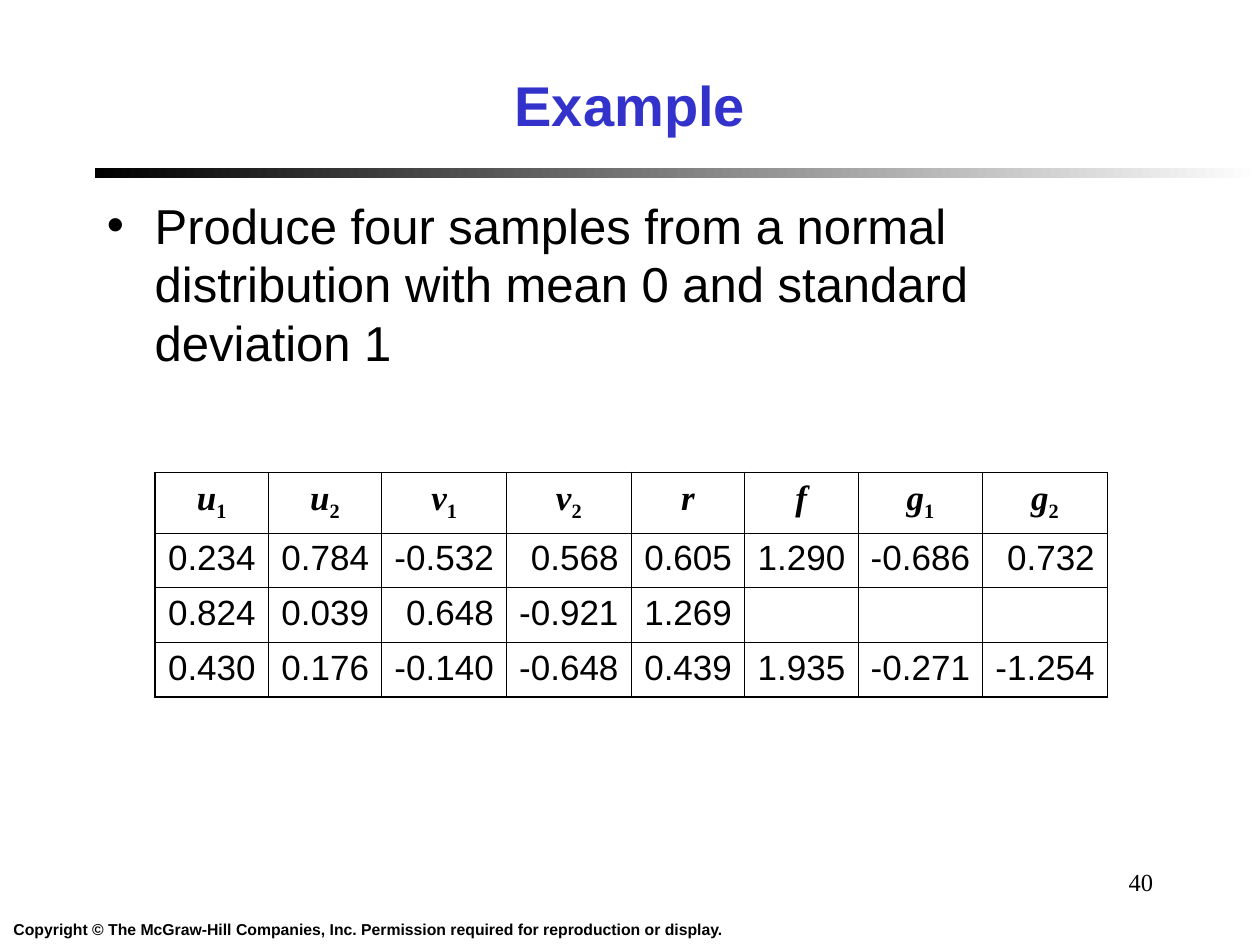
from dataclasses import dataclass

from lxml.etree import SubElement
from pptx import Presentation
from pptx.dml.color import RGBColor
from pptx.enum.shapes import MSO_SHAPE
from pptx.enum.text import MSO_ANCHOR, PP_ALIGN
from pptx.oxml.ns import qn
from pptx.util import Inches, Pt


@dataclass(frozen=True)
class Theme:
    ink: str = "000000"
    paper: str = "FFFFFF"
    blue: str = "3333CC"
    sans: str = "Arial"
    serif: str = "Times New Roman"
    title: int = 32
    body: int = 28
    cell: int = 20
    page: int = 14
    note: int = 9
    thin: float = 0.45
    thick: float = 1.08


THEME = Theme()

HEADS = ["u1", "u2", "v1", "v2", "r", "f", "g1", "g2"]
ROWS = [
    ["0.234", "0.784", "-0.532", "0.568", "0.605", "1.290", "-0.686", "0.732"],
    ["0.824", "0.039", "0.648", "-0.921", "1.269", "", "", ""],
    ["0.430", "0.176", "-0.140", "-0.648", "0.439", "1.935", "-0.271", "-1.254"],
]


def style(font, size, name=THEME.sans, color=THEME.ink, bold=False):
    font.size, font.name, font.bold = Pt(size), name, bold
    font.color.rgb = RGBColor.from_string(color)


def add_text(slide, box, text, align, wrap=True, anchor=MSO_ANCHOR.TOP):
    frame = slide.shapes.add_textbox(*map(Inches, box)).text_frame
    frame.word_wrap = wrap
    frame.vertical_anchor = anchor
    par = frame.paragraphs[0]
    par.text = text
    par.alignment = align
    return par


def add_title(slide, box):
    par = add_text(slide, box, "Example", PP_ALIGN.CENTER,
                   anchor=MSO_ANCHOR.MIDDLE)
    style(par.font, THEME.title, color=THEME.blue, bold=True)


def add_rule(slide, box):
    bar = slide.shapes.add_shape(MSO_SHAPE.RECTANGLE, *map(Inches, box))
    bar.shadow.inherit = False
    bar.line.fill.background()
    bar.fill.gradient()
    bar.fill.gradient_angle = 0
    stops = bar.fill.gradient_stops
    for stop, color, place in zip(stops, (THEME.ink, THEME.paper), (0, 1)):
        stop.color.rgb = RGBColor.from_string(color)
        stop.position = place


def add_body(slide, box):
    par = add_text(slide, box, "Produce four samples from a normal distribution "
                   "with mean 0 and standard deviation 1", PP_ALIGN.LEFT)
    props = par._p.get_or_add_pPr()
    props.set("marL", str(Inches(0.38)))
    props.set("indent", str(-Inches(0.38)))
    SubElement(props, qn("a:buFont"), typeface=THEME.sans)
    SubElement(props, qn("a:buChar"), char="•")
    style(par.font, THEME.body)


def add_edge(cell, side, width):
    line = SubElement(cell._tc.get_or_add_tcPr(), qn(f"a:ln{side}"),
                      w=str(Pt(width)))
    fill = SubElement(line, qn("a:solidFill"))
    SubElement(fill, qn("a:srgbClr"), val=THEME.ink)


def fill_head(par, text):
    par.alignment = PP_ALIGN.CENTER
    style(par.font, THEME.cell, THEME.serif, bold=True)
    name = par.add_run()
    name.text = text[0]
    name.font.italic = True
    if text[1:]:
        sub = par.add_run()
        sub.text = text[1:]
        sub.font._element.set("baseline", "-25000")


def fill_value(par, text):
    par.text = text
    par.alignment = PP_ALIGN.RIGHT
    style(par.font, THEME.cell)


def add_grid(slide, box):
    data = [HEADS] + ROWS
    last, end = len(data) - 1, len(HEADS) - 1
    table = slide.shapes.add_table(last + 1, end + 1,
                                   *map(Inches, box)).table
    table.first_row = table.horz_banding = False
    # Columns that hold negative values are wider
    for c, col in enumerate(table.columns):
        signed = any(row[c].startswith("-") for row in ROWS)
        col.width = Inches(0.99 if signed else 0.9)
    for r, row in enumerate(table.rows):
        row.height = Inches(0.43 if r else 0.48)
    # Thick frame outside, thin lines inside
    for r, row in enumerate(data):
        for c, text in enumerate(row):
            cell = table.cell(r, c)
            outer = {"L": c == 0, "R": c == end, "T": r == 0, "B": r == last}
            for side, edge in outer.items():
                add_edge(cell, side, THEME.thick if edge else THEME.thin)
            cell.fill.background()
            fill = fill_value if r else fill_head
            fill(cell.text_frame.paragraphs[0], text)


def add_footer(slide, box):
    left, top, width, height = box
    # Page number
    page = add_text(slide, (left + 7.17, top, 2.08, 0.5), "40", PP_ALIGN.RIGHT)
    style(page.font, THEME.page, THEME.serif)
    # Copyright line
    note = add_text(slide, (left, top + height - 0.25, 5.84, 0.25),
                    "Copyright © The McGraw-Hill Companies, Inc. Permission "
                    "required for reproduction or display.",
                    PP_ALIGN.CENTER, wrap=False)
    style(note.font, THEME.note, bold=True)


def main():
    deck = Presentation()
    deck.slide_width, deck.slide_height = Inches(10), Inches(7.5)
    slide = deck.slides.add_slide(deck.slide_layouts[6])
    add_rule(slide, (0.75, 1.33, 9.25, 0.08))
    add_title(slide, (0.25, 0.33, 9.5, 1))
    add_body(slide, (0.75, 1.5, 8.5, 5.17))
    add_grid(slide, (1.23, 3.75, 7.56, 1.77))
    add_footer(slide, (0, 6.83, 10, 0.67))
    deck.save("out.pptx")


if __name__ == "__main__":
    main()
